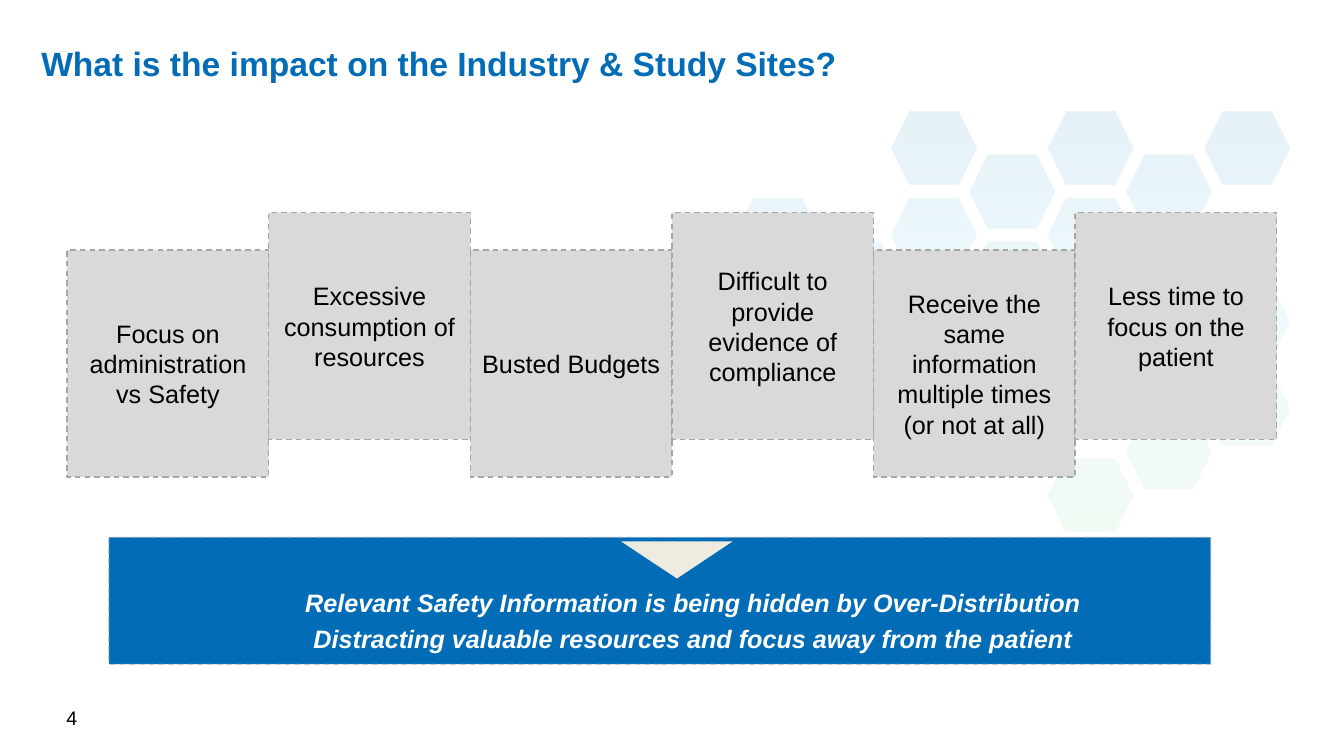
import pptx
import pptx.dml.color
import pptx.enum.dml
import pptx.enum.shapes
import pptx.enum.text
import pptx.oxml
import pptx.oxml.ns
import pptx.util

Pt = pptx.util.Pt
RGBColor = pptx.dml.color.RGBColor
Anchor = pptx.enum.text.MSO_ANCHOR
Align = pptx.enum.text.PP_ALIGN
Preset = pptx.enum.shapes.MSO_SHAPE

BLUE = RGBColor(0x02, 0x6C, 0xB6)
SKY = RGBColor(0x13, 0xB5, 0xEA)
GREEN = RGBColor(0x39, 0xB5, 0x4A)
WHITE = RGBColor(0xFF, 0xFF, 0xFF)
BLACK = RGBColor(0x00, 0x00, 0x00)
LIGHT_GREY = RGBColor(0xD9, 0xD9, 0xD9)
MID_GREY = RGBColor(0xA6, 0xA6, 0xA6)
CREAM = RGBColor(0xEE, 0xEC, 0xE1)

HONEYCOMB_ROWS = [(2, 4, 6), (3, 5), (0, 2, 4), (1, 3), (4, 6), (3, 5), (2, 6), (5,), (4,)]
HONEYCOMB_STOPS = [(0, BLUE, 100), (50, SKY, 64), (100, GREEN, 66)]

IMPACTS = [
    "Focus on administration vs Safety",
    "Excessive consumption of resources",
    "Busted Budgets",
    "Difficult to provide evidence of compliance",
    "Receive the same information multiple times (or not at all)",
    "Less time to focus on the patient",
]


def write_text(frame, text, size=18, color=BLACK, bold=False, italic=False,
               align=Align.LEFT, anchor=Anchor.TOP, spacing=1.0, side_inset=7.2):
    frame.word_wrap = True
    frame.vertical_anchor = anchor
    frame.margin_left = frame.margin_right = Pt(side_inset)
    frame.margin_top = frame.margin_bottom = Pt(3.6)
    for index, line in enumerate(text.split("\n")):
        paragraph = frame.paragraphs[0] if index == 0 else frame.add_paragraph()
        paragraph.alignment = align
        paragraph.line_spacing = spacing
        run = paragraph.add_run()
        run.text = line
        run.font.name = "Arial"
        run.font.size = Pt(size)
        run.font.bold = bold
        run.font.italic = italic
        run.font.color.rgb = color


def set_opacity(fill_parent, percent):
    color = fill_parent.find(".//" + pptx.oxml.ns.qn("a:srgbClr"))
    color.append(pptx.oxml.parse_xml(
        f'<a:alpha {pptx.oxml.ns.nsdecls("a")} val="{percent * 1000}"/>'))


class SlideBuilder:
    def __init__(self, slide):
        self.shapes = slide.shapes

    def box(self, left, top, width, height, fill, preset=Preset.RECTANGLE,
            dashed=False, opacity=None, line_opacity=None):
        shape = self.shapes.add_shape(preset, Pt(left), Pt(top), Pt(width), Pt(height))
        shape.shadow.inherit = False
        shape.fill.solid()
        shape.fill.fore_color.rgb = fill
        if opacity:
            set_opacity(shape.fill._xPr.find(pptx.oxml.ns.qn("a:solidFill")), opacity)
        if dashed:
            shape.line.color.rgb = MID_GREY
            shape.line.width = Pt(1)
            shape.line.dash_style = pptx.enum.dml.MSO_LINE.DASH
            if line_opacity:
                set_opacity(shape.line._get_or_add_ln(), line_opacity)
        else:
            shape.line.fill.background()
        return shape

    def label(self, left, top, width, height, text, **text_format):
        label = self.shapes.add_textbox(Pt(left), Pt(top), Pt(width), Pt(height))
        write_text(label.text_frame, text, **text_format)

    def honeycomb(self, left, top, column_step, row_step, width, height, corner):
        outline = [(corner, 0), (width - corner, 0), (width, height / 2),
                   (width - corner, height), (corner, height), (0, height / 2)]
        cells = [[(Pt(left + column * column_step + x), Pt(top + row * row_step + y))
                  for x, y in outline]
                 for row, columns in enumerate(HONEYCOMB_ROWS) for column in columns]
        builder = self.shapes.build_freeform(*cells[0][0])
        for index, cell in enumerate(cells):
            if index:
                builder.move_to(*cell[0])
            builder.add_line_segments(cell[1:], close=True)
        comb = builder.convert_to_shape()
        comb.shadow.inherit = False
        comb.line.fill.background()
        comb.fill.gradient()
        comb.fill.gradient_angle = 270
        stops = "".join(
            f'<a:gs pos="{position * 1000}"><a:srgbClr val="{color}">'
            f'<a:alpha val="{opacity * 1000}"/></a:srgbClr></a:gs>'
            for position, color, opacity in HONEYCOMB_STOPS)
        old_stops = comb._element.spPr.find(".//" + pptx.oxml.ns.qn("a:gsLst"))
        old_stops.getparent().replace(old_stops, pptx.oxml.parse_xml(
            f'<a:gsLst {pptx.oxml.ns.nsdecls("a")}>{stops}</a:gsLst>'))


def main():
    deck = pptx.Presentation()
    deck.slide_width, deck.slide_height = Pt(960), Pt(540)
    page = SlideBuilder(deck.slides.add_slide(deck.slide_layouts[6]))

    page.honeycomb(524.9, 79.9, column_step=55.8, row_step=30.88,
                   width=61.2, height=52.6, corner=13)
    page.box(0, 64.8, 960, 435.6, WHITE, opacity=90)
    page.label(29.5, 30.2, 930.5, 33.1, "What is the impact on the Industry & Study Sites?",
               size=24, color=BLUE, bold=True, anchor=Anchor.MIDDLE,
               spacing=0.9, side_inset=0)

    for index, impact in enumerate(IMPACTS):
        top = 151.9 if index % 2 else 178.6
        card = page.box(48 + index * 144, top, 144, 162, LIGHT_GREY, dashed=True)
        write_text(card.text_frame, impact, align=Align.CENTER, anchor=Anchor.MIDDLE)

    page.label(40.3, 500.4, 47.5, 24.5, "4", size=14)

    page.box(77.8, 383.8, 787, 90.7, BLUE, dashed=True, line_opacity=50)
    page.box(87.8, 410.4, 766.8, 31.7, BLUE)
    pointer = page.box(470.2, 360, 26.6, 79.9, CREAM, preset=Preset.PENTAGON)
    pointer.adjustments[0] = 1
    pointer.rotation = 90
    page.label(187.9, 411.8, 614.2, 85.7,
               "Relevant Safety Information is being hidden by Over-Distribution\n"
               "Distracting valuable resources and focus away from the patient",
               color=WHITE, bold=True, italic=True, align=Align.CENTER, spacing=1.2)

    deck.save("out.pptx")


if __name__ == "__main__":
    main()
